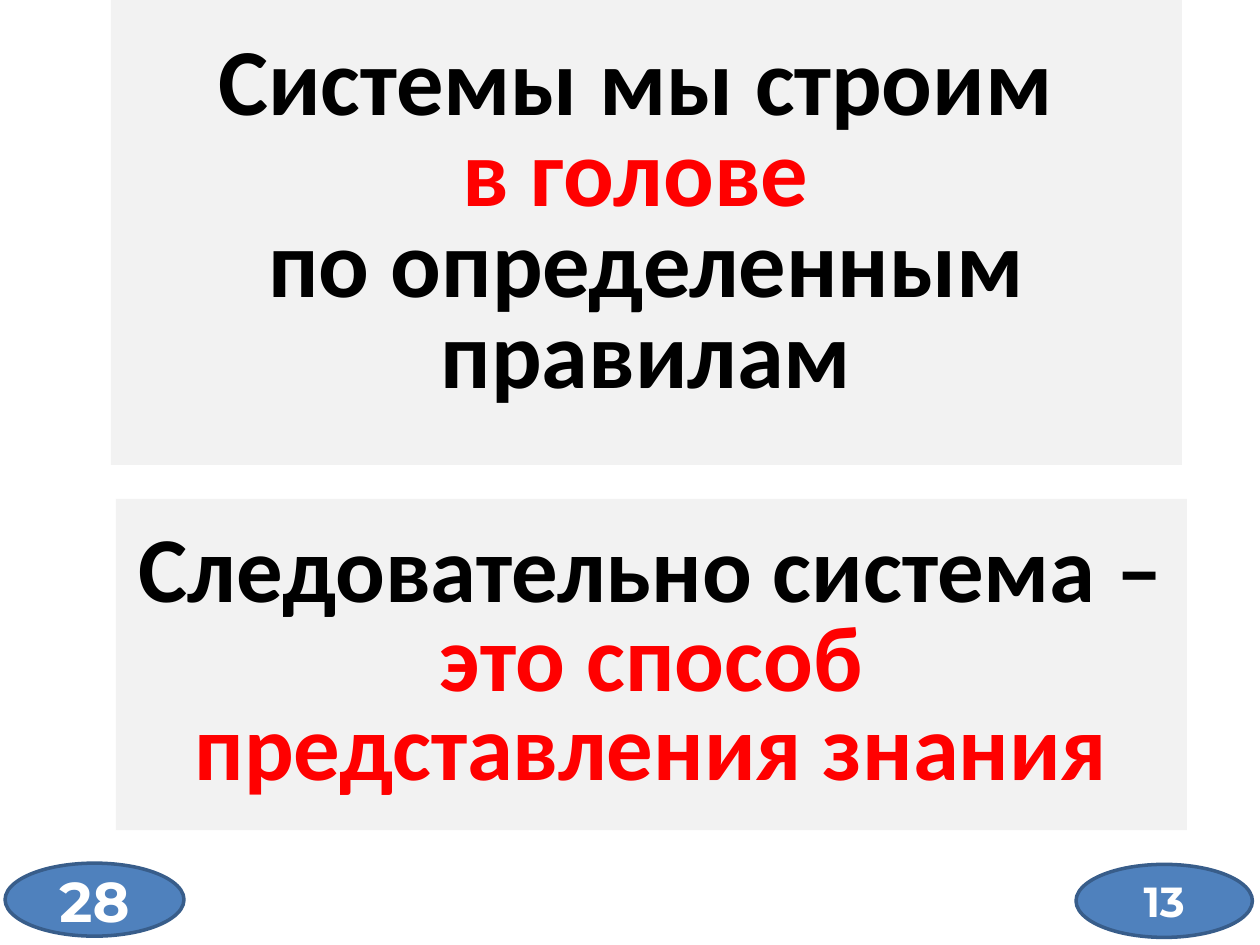
from dataclasses import dataclass

import pptx
import pptx.dml.color
import pptx.enum.shapes
import pptx.enum.text
import pptx.util

Inches = pptx.util.Inches
Pt = pptx.util.Pt
Shapes = pptx.enum.shapes.MSO_SHAPE


@dataclass
class Phrase:
    text: str
    color: str
    breaks_after: bool = False


@dataclass
class Panel:
    kind: Shapes
    left: float
    top: float
    width: float
    height: float
    fill: str
    phrases: list[Phrase]
    font: str
    size: float
    line_spacing: float = 1.0
    bottom_inset: float = 0.05
    outline: str | None = None


def rgb(value: str) -> pptx.dml.color.RGBColor:
    return pptx.dml.color.RGBColor.from_string(value)


def draw_panel(slide: pptx.slide.Slide, panel: Panel) -> None:
    body = slide.shapes.add_shape(
        panel.kind, Inches(panel.left), Inches(panel.top),
        Inches(panel.width), Inches(panel.height))
    body.shadow.inherit = False
    body.fill.solid()
    body.fill.fore_color.rgb = rgb(panel.fill)
    if panel.outline:
        body.line.color.rgb = rgb(panel.outline)
        body.line.width = Pt(2)
    else:
        body.line.fill.background()

    frame = body.text_frame
    frame.word_wrap = True
    frame.vertical_anchor = pptx.enum.text.MSO_ANCHOR.MIDDLE
    frame.margin_bottom = Inches(panel.bottom_inset)
    statement = frame.paragraphs[0]
    statement.alignment = pptx.enum.text.PP_ALIGN.CENTER
    statement.line_spacing = panel.line_spacing
    statement.font.name = panel.font
    statement.font.size = Pt(panel.size)
    statement.font.bold = True
    for phrase in panel.phrases:
        run = statement.add_run()
        run.text = phrase.text
        run.font.color.rgb = rgb(phrase.color)
        if phrase.breaks_after:
            statement.add_line_break()


def statement_panel(left: float, top: float, height: float, size: float,
                    phrases: list[Phrase], bottom_inset: float = 0.05) -> Panel:
    return Panel(Shapes.RECTANGLE, left, top, 8.5, height, "F2F2F2", phrases,
                 "Calibri", size, 0.8, bottom_inset)


def number_badge(left: float, top: float, width: float, number: str, size: float) -> Panel:
    return Panel(Shapes.OVAL, left, top, width, 0.58, "4F81BD",
                 [Phrase(number, "FFFFFF")], "Montserrat", size, outline="385D8A")


def main() -> None:
    deck = pptx.Presentation()
    deck.slide_width = Inches(10)
    deck.slide_height = Inches(7.5)
    slide = deck.slides.add_slide(deck.slide_layouts[6])

    panels = [
        statement_panel(0.88, -0.01, 3.7, 54, [
            Phrase("Системы мы строим ", "000000", True),
            Phrase("в голове ", "FF0000", True),
            Phrase("по определенным правилам", "000000"),
        ], bottom_inset=0.16),
        number_badge(8.54, 6.86, 1.4, "13", 24),
        number_badge(0.04, 6.85, 1.42, "28", 32),
        statement_panel(0.92, 3.96, 2.63, 53, [
            Phrase("Следовательно система – ", "000000"),
            Phrase("это способ представления знания", "FF0000"),
        ]),
    ]
    for panel in panels:
        draw_panel(slide, panel)

    deck.save("out.pptx")


if __name__ == "__main__":
    main()
